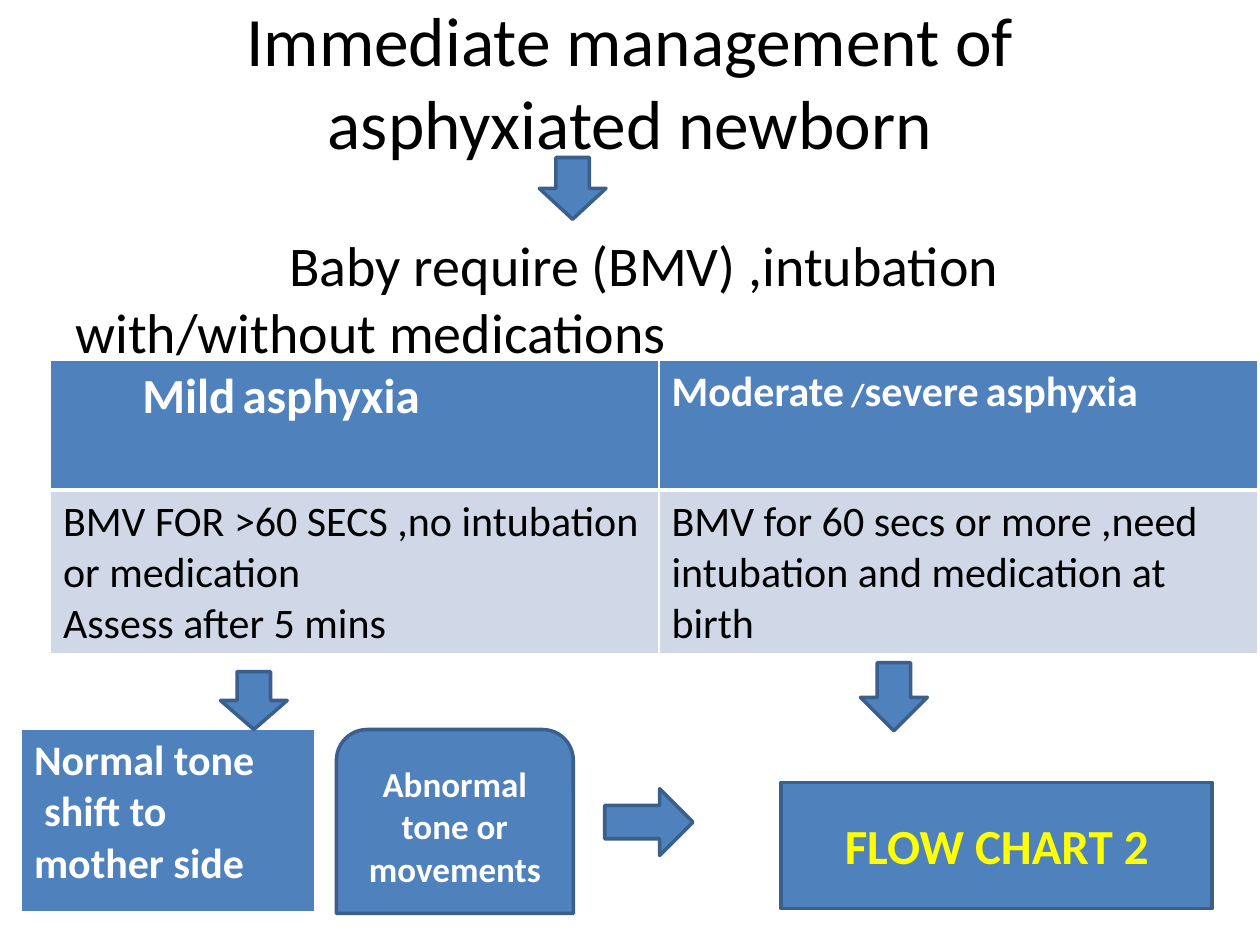
import dataclasses
import pptx
import pptx.dml.color
import pptx.enum.shapes
import pptx.enum.text
import pptx.oxml
import pptx.oxml.ns
import pptx.util

SHAPE = pptx.enum.shapes.MSO_SHAPE
ALIGN = pptx.enum.text.PP_ALIGN
ANCHOR = pptx.enum.text.MSO_ANCHOR
COLUMNS, ROWS = 100, 75


@dataclasses.dataclass(frozen=True)
class Theme:
    """Colours, font and type sizes of the flow chart."""
    font: str = "Calibri"
    ink: str = "000000"
    paper: str = "FFFFFF"
    blue: str = "4F81BD"
    edge: str = "3A5F8C"
    pale: str = "D0D8E8"
    accent: str = "FFFF00"
    title: float = 39.6
    lead: int = 32
    head: int = 28
    text: int = 24
    label: int = 20
    small: int = 18


THEME = Theme()


def grid(units):
    """Convert grid units, a hundredth of the slide width each, to a length."""
    return pptx.util.Inches(units * 10 / COLUMNS)


def rgb(colour):
    """Make a colour from its hex value."""
    return pptx.dml.color.RGBColor.from_string(colour)


def style(run, size, colour, bold):
    """Format one run."""
    run.font.name = THEME.font
    run.font.size = pptx.util.Pt(size)
    run.font.bold = bold
    run.font.color.rgb = rgb(colour)


def write(frame, wording, size, colour, bold=False, align=ALIGN.LEFT):
    """Fill a text frame and format all of its runs."""
    frame.text = wording
    frame.word_wrap = True
    for paragraph in frame.paragraphs:
        paragraph.alignment = align
        for run in paragraph.runs:
            style(run, size, colour, bold)


def indent(paragraph, units):
    """Indent the first line of a paragraph."""
    paragraph._p.get_or_add_pPr().set("indent", str(grid(units)))


def add_text(slide, box, wording, size, align, anchor):
    """Add a text box and return its frame."""
    frame = slide.shapes.add_textbox(*map(grid, box)).text_frame
    write(frame, wording, size, THEME.ink, align=align)
    frame.vertical_anchor = anchor
    return frame


def add_block(slide, kind, box, wording="", size=THEME.label, colour=THEME.paper):
    """Add a blue outlined shape with an optional centred label."""
    block = slide.shapes.add_shape(kind, *map(grid, box))
    block.shadow.inherit = False
    block.fill.solid()
    block.fill.fore_color.rgb = rgb(THEME.blue)
    block.line.color.rgb = rgb(THEME.edge)
    block.line.width = pptx.util.Pt(2)
    if wording:
        write(block.text_frame, wording, size, colour, True, ALIGN.CENTER)
        block.text_frame.vertical_anchor = ANCHOR.MIDDLE


def paint_cell(cell, fill, bottom):
    """Give a cell its fill and white borders."""
    cell.fill.solid()
    cell.fill.fore_color.rgb = rgb(fill)
    widths = {"lnL": 1, "lnR": 1, "lnT": 1, "lnB": bottom}
    for place, (side, width) in enumerate(widths.items()):
        border = pptx.oxml.parse_xml(
            f'<a:{side} {pptx.oxml.ns.nsdecls("a")} w="{pptx.util.Pt(width)}">'
            f'<a:solidFill><a:srgbClr val="{THEME.paper}"/></a:solidFill></a:{side}>')
        cell._tc.get_or_add_tcPr().insert(place, border)


def add_table(slide, corner, widths, heights):
    """Add a table whose first row is a blue heading, and return it."""
    box = (*corner, sum(widths), sum(heights))
    table = slide.shapes.add_table(len(heights), len(widths), *map(grid, box)).table
    table.horz_banding = False
    for column, width in zip(table.columns, widths):
        column.width = grid(width)
    for number, (row, height) in enumerate(zip(table.rows, heights)):
        row.height = grid(height)
        for cell in row.cells:
            paint_cell(cell, THEME.pale if number else THEME.blue, 1 if number else 3)
    return table


def write_heading(cell, words, size):
    """Write heading words, with smaller type for the joints between them."""
    paragraph = cell.text_frame.paragraphs[0]
    for number, word in enumerate(words):
        run = paragraph.add_run()
        run.text = word
        style(run, THEME.small if number % 2 else size, THEME.paper, True)
    return paragraph


def add_severity_table(slide):
    """Compare mild with moderate or severe asphyxia."""
    table = add_table(slide, (4, 28.6), (48.3, 47.5), (10.3, 13))
    mild = write_heading(table.cell(0, 0), ("Mild", " ", "asphyxia"), THEME.head)
    indent(mild, 6.3)
    write_heading(table.cell(0, 1), ("Moderate", " /", "severe", " ", "asphyxia"), THEME.text)
    actions = ("BMV FOR >60 SECS ,no intubation or medication\nAssess after 5 mins",
               "BMV for 60 secs or more ,need intubation and medication at birth")
    for column, action in enumerate(actions):
        write(table.cell(1, column).text_frame, action, THEME.text, THEME.ink)


def add_normal_tone(slide):
    """Add the outcome for a baby with normal tone."""
    outcome = add_table(slide, (1.7, 57.9), (23.3,), (14.6,)).cell(0, 0).text_frame
    write(outcome, "Normal tone\nshift to mother side", THEME.text, THEME.paper, True)
    indent(outcome.paragraphs[1], 0.8)


def main():
    """Build the slide and save it."""
    deck = pptx.Presentation()
    deck.slide_width, deck.slide_height = grid(COLUMNS), grid(ROWS)
    slide = deck.slides.add_slide(deck.slide_layouts[6])
    add_text(slide, (5, 0, 90, 12.8), "Immediate management of asphyxiated newborn",
             THEME.title, ALIGN.CENTER, ANCHOR.MIDDLE)
    need = add_text(slide, (5, 17.8, 90, 11),
                    "Baby require (BMV) ,intubation with/without medications",
                    THEME.lead, ALIGN.LEFT, ANCHOR.TOP)
    indent(need.paragraphs[0], 17)
    add_severity_table(slide)
    add_normal_tone(slide)
    for left, top, height in ((42.8, 12.5, 4.9), (17.5, 53.3, 4.6), (68.3, 52.6, 5.4)):
        add_block(slide, SHAPE.DOWN_ARROW, (left, top, 5.3, height))
    add_block(slide, SHAPE.RIGHT_ARROW, (48, 62.6, 7, 5.3))
    add_block(slide, SHAPE.ROUND_2_SAME_RECTANGLE, (26.7, 57.9, 18.8, 14.6),
              "Abnormal tone or movements")
    add_block(slide, SHAPE.RECTANGLE, (62, 62.1, 34.2, 10),
              "FLOW CHART 2", THEME.head, THEME.accent)
    deck.save("out.pptx")


if __name__ == "__main__":
    main()
